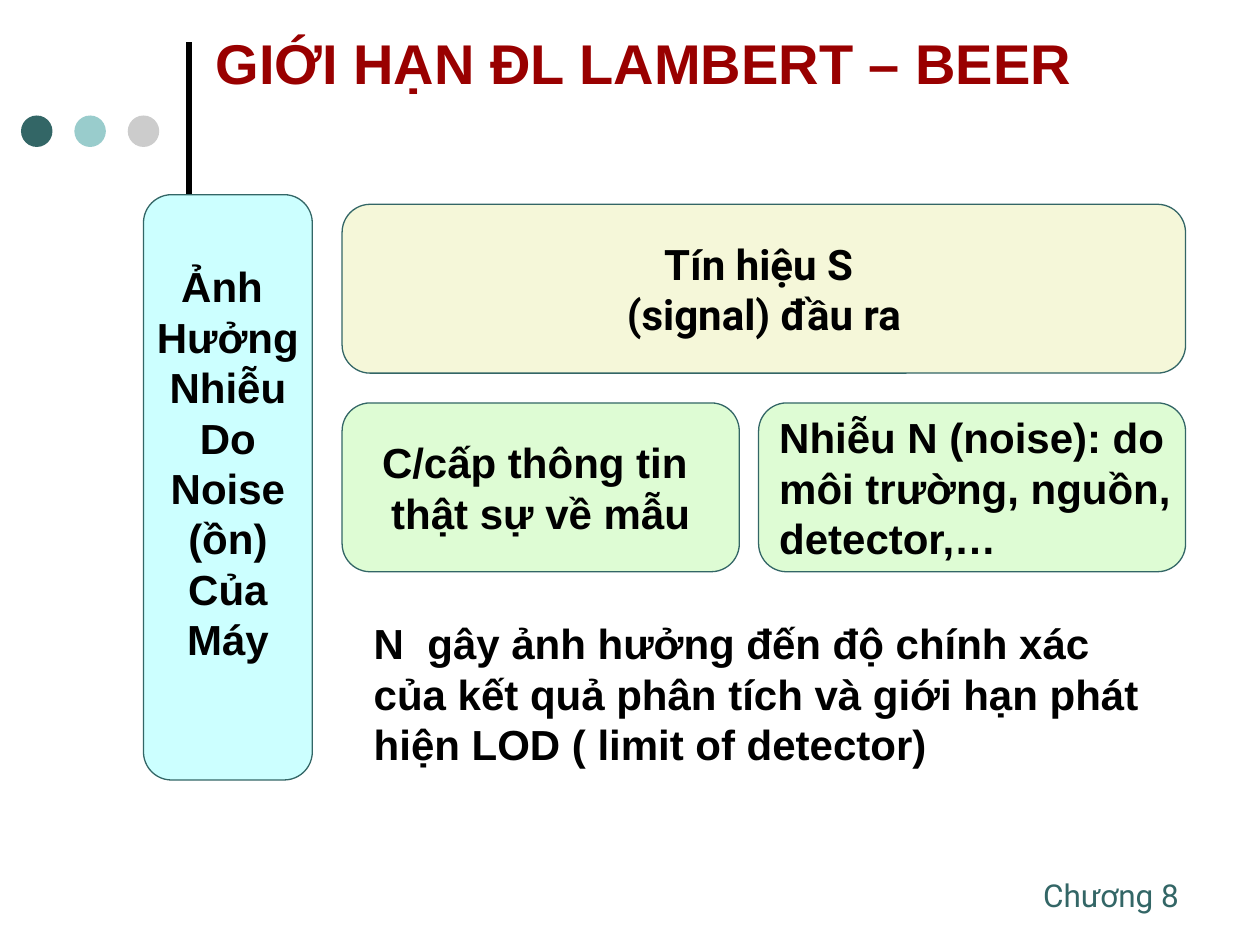
from pptx import Presentation
from pptx import util as u
from pptx.dml.color import RGBColor
from pptx.enum import shapes, text
from pptx.oxml.ns import qn
from lxml import etree

COLOURS = {
    "black": "000000", "title": "990000", "teal": "336666", "aqua": "99CCCC",
    "grey": "CCCCCC", "cream": "F5F7D9", "cyan": "CCFFFF", "green": "DEFCD4",
}
LEFT, CENTER = text.PP_ALIGN.LEFT, text.PP_ALIGN.CENTER
HANGING = 27


def colour(name):
    return RGBColor.from_string(COLOURS[name])


def place(shape, left, top, width, height):
    shape.left, shape.top = u.Pt(left), u.Pt(top)
    shape.width, shape.height = u.Pt(width), u.Pt(height)


def write(frame, lines, size=24, font="Arial", ink="black", bold=True,
          align=LEFT, indent=0):
    """Fill a frame; a line is a string or a list of (words, font) runs."""
    for index, line in enumerate(lines):
        paragraph = frame.paragraphs[0] if index == 0 else frame.add_paragraph()
        paragraph.alignment = align
        if indent:
            properties = paragraph._p.get_or_add_pPr()
            properties.set("marL", str(u.Pt(indent)))
            properties.set("indent", str(-u.Pt(indent)))
        runs = [(line, font)] if isinstance(line, str) else line
        for words, typeface in runs:
            run = paragraph.add_run()
            run.text = words
            run.font.name = typeface
            run.font.size = u.Pt(size)
            run.font.bold = bold
            run.font.color.rgb = colour(ink)


def add_title(slide, words):
    title = slide.shapes.title
    place(title, 116, 0, 556, 71)
    frame = title.text_frame
    frame.auto_size = text.MSO_AUTO_SIZE.NONE
    frame.vertical_anchor = text.MSO_ANCHOR.MIDDLE
    write(frame, [words], size=32, ink="title")


def add_label(slide, box, words, wrap=True, **style):
    label = slide.shapes.add_textbox(*map(u.Pt, box))
    label.text_frame.word_wrap = wrap
    label.text_frame.auto_size = text.MSO_AUTO_SIZE.SHAPE_TO_FIT_TEXT
    write(label.text_frame, [words], **style)


def add_panel(slide, box, fill, lines, bottom_inset=3.6, **style):
    panel = slide.shapes.add_shape(
        shapes.MSO_SHAPE.ROUNDED_RECTANGLE, *map(u.Pt, box))
    panel.shadow.inherit = False
    panel.fill.solid()
    panel.fill.fore_color.rgb = colour(fill)
    panel.line.color.rgb = colour("teal")
    panel.line.width = u.Pt(0.75)
    frame = panel.text_frame
    frame.word_wrap = False
    frame.vertical_anchor = text.MSO_ANCHOR.MIDDLE
    frame.margin_bottom = u.Pt(bottom_inset)
    write(frame, lines, **style)


def add_rule(slide, x, bottom, top):
    rule = slide.shapes.add_connector(
        shapes.MSO_CONNECTOR.STRAIGHT, *map(u.Pt, (x, bottom, x, top)))
    rule.line.color.rgb = colour("black")
    rule.line.width = u.Pt(3)
    etree.SubElement(rule._element.spPr, qn("a:effectLst"))


def add_dots(slide, left, top, size, step, fills):
    for index, fill in enumerate(fills):
        dot = slide.shapes.add_shape(
            shapes.MSO_SHAPE.OVAL,
            *map(u.Pt, (left + index * step, top, size, size)))
        dot.shadow.inherit = False
        dot.fill.solid()
        dot.fill.fore_color.rgb = colour(fill)
        dot.line.fill.background()


def main():
    presentation = Presentation()
    presentation.slide_width, presentation.slide_height = u.Pt(720), u.Pt(540)
    slide = presentation.slides.add_slide(presentation.slide_layouts[5])

    # Heading and its ornaments
    add_rule(slide, 108, 126, 24)
    add_dots(slide, 12, 66, 18, 30.5, ["teal", "aqua", "grey"])
    add_title(slide, "GIỚI HẠN ĐL LAMBERT – BEER")

    # Signal, with its two components below
    left, right, height = 195.5, 677.5, 96.5
    add_panel(slide, (left, 116.75, right - left, height), "cream",
              [[("T", "Roboto"), ("í", "Arial"), ("n hiệu S ", "Roboto")],
               [("(signal) đầu ra", "Roboto")]],
              align=CENTER, indent=HANGING)
    add_panel(slide, (left, 230.25, 227, height), "green",
              ["C/cấp thông tin ", "thật sự về mẫu"],
              align=CENTER, indent=HANGING)
    add_panel(slide, (433.5, 230.25, right - 433.5, height), "green",
              ["Nhiễu N (noise): do", "môi trường, nguồn,", "detector,…"],
              indent=HANGING)

    # Topic pillar, its text raised by half a line
    add_panel(slide, (82, 111.25, 96.5, 334.5), "cyan",
              ["Ảnh ", "Hưởng", "Nhiễu", "Do", "Noise", "(ồn)", "Của", "Máy"],
              bottom_inset=32, align=CENTER)

    # Conclusion and chapter mark
    add_label(slide, (206.5, 349.5, 471, 93.5),
              "N  gây ảnh hưởng đến độ chính xác của kết quả phân tích "
              "và giới hạn phát hiện LOD ( limit of detector)")
    add_label(slide, (589, 497, 97, 29), "Chương 8", wrap=False,
              size=18, font="Roboto", ink="teal", bold=False)

    presentation.save("out.pptx")


if __name__ == "__main__":
    main()
